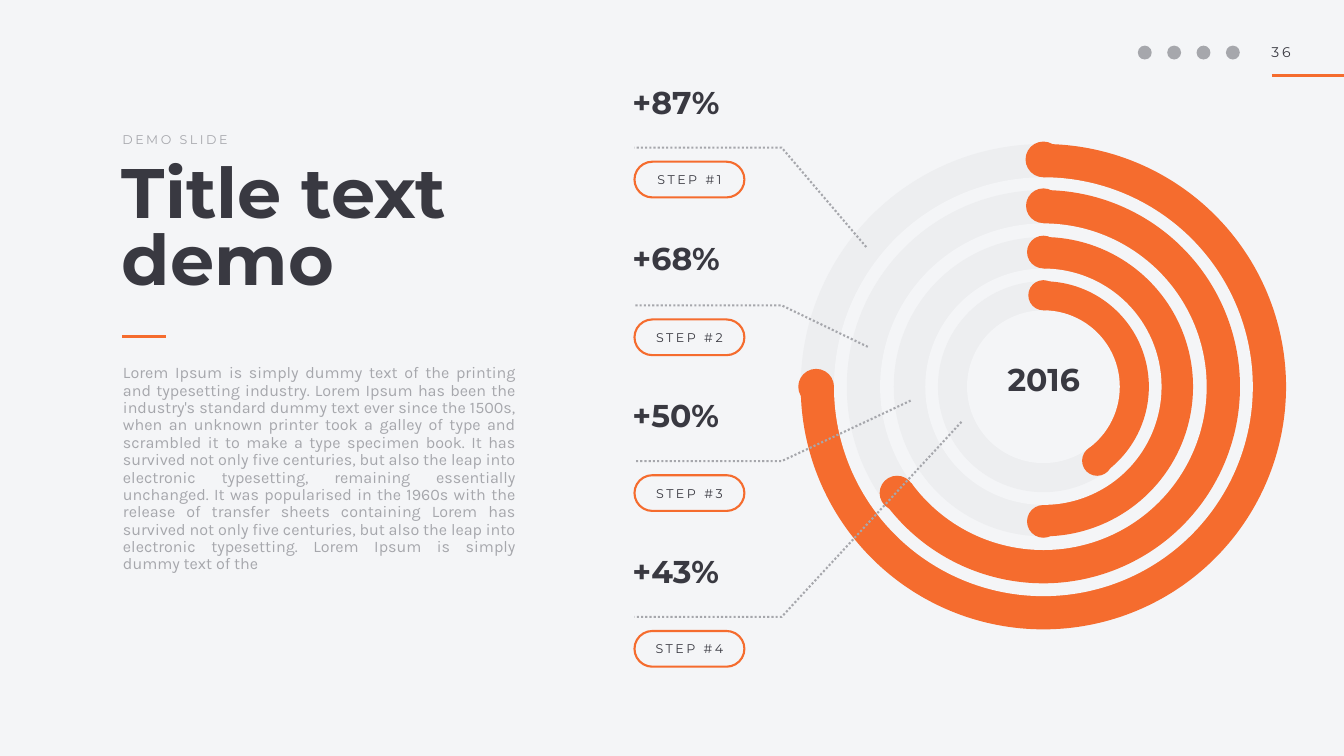
import math

from lxml import etree
from pptx import Presentation
from pptx.chart import data
from pptx.dml.color import RGBColor
from pptx.enum import chart as charts, dml, shapes, text
from pptx.oxml import ns, parse_xml
from pptx.util import Cm, Pt


class Theme:
    paper = RGBColor(0xF4, 0xF5, 0xF7)
    track = RGBColor(0xED, 0xEE, 0xF0)
    accent = RGBColor(0xF5, 0x6C, 0x2E)
    dark = RGBColor(0x39, 0x39, 0x41)
    grey = RGBColor(0xA6, 0xA7, 0xAC)
    heading, body = "Montserrat", "Karla"
    title_size, value_size, body_size, page_size, label_size, chart_size = 100, 45, 23, 20, 18, 10
    rule_width, line_width = Pt(4), Pt(3)


def add_shape(kind, x, y, w, h, fill=None):
    """Preset shape placed in centimetres, without line or shadow."""
    sp = s.shapes.add_shape(kind, Cm(x), Cm(y), Cm(w), Cm(h))
    sp.shadow.inherit = False
    sp.line.fill.background()
    if fill is None:
        sp.fill.background()
    else:
        sp.fill.solid()
        sp.fill.fore_color.rgb = fill
    return sp


def write(sp, words, size, color=Theme.dark, font=Theme.heading, bold=False,
          align=text.PP_ALIGN.LEFT, leading=1.0, tracking=0, anchor=text.MSO_ANCHOR.TOP):
    """Put one run of text in a shape; tracking is in points."""
    tf = sp.text_frame
    tf.word_wrap = True
    tf.vertical_anchor = anchor
    tf.margin_left = tf.margin_right = tf.margin_top = tf.margin_bottom = Cm(0.1)
    p = tf.paragraphs[0]
    p.alignment = align
    p.line_spacing = leading
    r = p.add_run()
    r.text = words
    r.font.name, r.font.size, r.font.bold = font, Pt(size), bold
    r.font.color.rgb = color
    if tracking:
        r.font._element.set("spc", str(round(tracking * 100)))


prs = Presentation()
prs.slide_width, prs.slide_height = Cm(67.74), Cm(38.1)
s = prs.slides.add_slide(prs.slide_layouts[6])
s.background.fill.solid()
s.background.fill.fore_color.rgb = Theme.paper

# Header: four plain dots for the social links, page number
for i in range(4):
    add_shape(shapes.MSO_SHAPE.OVAL, 57.35 + 1.48 * i, 2.3, 0.7, 0.7, Theme.grey)
page = s.shapes.add_textbox(Cm(63.98), Cm(2.11), Cm(1.68), Cm(1.07))
write(page, "36", Theme.page_size, tracking=4)

# Accent rules under the page number and the title
for x1, x2, y in [(64.11, 67.74, 3.81), (6.15, 8.38, 16.94)]:
    rule = s.shapes.add_connector(shapes.MSO_CONNECTOR.STRAIGHT, Cm(x1), Cm(y), Cm(x2), Cm(y))
    rule.line.color.rgb = Theme.accent
    rule.line.width = Theme.rule_width
    etree.SubElement(rule._element.spPr, ns.qn("a:effectLst"))

# Rings: share, outer diameter, hole diameter, cap diameter
center_x, center_y = 52.59, 19.49
rings = [
    (75, 24.71, 21.11, 1.8),
    (65, 20.02, 16.46, 1.75),
    (50, 15.24, 11.91, 1.65),
    (40, 10.74, 7.7, 1.52),
]
for share, outer, hole, cap in rings:
    cd = data.CategoryChartData()
    cd.categories = ["1", "2"]
    cd.add_series("Series 1", (share, 100 - share))
    chart = s.shapes.add_chart(
        charts.XL_CHART_TYPE.PIE, Cm(center_x - outer / 2), Cm(center_y - outer / 2),
        Cm(outer), Cm(outer), cd).chart
    chart.has_legend = chart.has_title = False
    chart.font.name, chart.font.size = Theme.heading, Pt(Theme.chart_size)
    chart.font.color.rgb = Theme.grey
    plot = chart.plots[0]
    plot.vary_by_categories = False
    for i, color in enumerate((Theme.accent, Theme.track)):
        fmt = plot.series[0].points[i].format
        fmt.fill.solid()
        fmt.fill.fore_color.rgb = color
        fmt.line.fill.background()
    area = chart._chartSpace.find(".//" + ns.qn("c:plotArea"))
    for old in area.findall(ns.qn("c:layout")):
        area.remove(old)
    area.insert(0, parse_xml(
        f'<c:layout {ns.nsdecls("c")}><c:manualLayout><c:layoutTarget val="inner"/>'
        '<c:xMode val="edge"/><c:yMode val="edge"/><c:x val="0.005"/><c:y val="0.005"/>'
        '<c:w val="0.99"/><c:h val="0.99"/></c:manualLayout></c:layout>'))
    add_shape(shapes.MSO_SHAPE.OVAL, center_x - hole / 2, center_y - hole / 2,
              hole, hole, Theme.paper)

# Round caps at the start and end of every arc
for share, outer, hole, cap in rings:
    radius = (outer + hole) / 4
    for angle in (0, math.tau * share / 100):
        x = center_x + radius * math.sin(angle)
        y = center_y - radius * math.cos(angle)
        add_shape(shapes.MSO_SHAPE.OVAL, x - cap / 2, y - cap / 2, cap, cap, Theme.accent)

year = s.shapes.add_textbox(Cm(48.72), Cm(18.42), Cm(7.77), Cm(3.2))
write(year, "2016", Theme.value_size, bold=True, align=text.PP_ALIGN.CENTER, leading=0.8)

# Steps: value, height of the leader line, point on the ring
steps = [
    ("+87%", 7.44, (43.66, 12.45)),
    ("+68%", 15.39, (43.74, 17.48)),
    ("+50%", 23.24, (45.9, 20.19)),
    ("+43%", 31.09, (48.46, 21.26)),
]
left, elbow = 31.98, 39.4
for i, (value, y, (tip_x, tip_y)) in enumerate(steps):
    path_builder = s.shapes.build_freeform(Cm(tip_x), Cm(tip_y))
    path_builder.add_line_segments([(Cm(elbow), Cm(y)), (Cm(left), Cm(y))], close=False)
    leader = path_builder.convert_to_shape()
    leader.shadow.inherit = False
    leader.fill.background()
    leader.line.color.rgb = Theme.grey
    leader.line.width = Theme.line_width
    leader.line.dash_style = dml.MSO_LINE.ROUND_DOT

    box = s.shapes.add_textbox(Cm(31.78), Cm(4.45 + 7.88 * i), Cm(8.79), Cm(3.15))
    write(box, value, Theme.value_size, bold=True, leading=0.8)

    pill = add_shape(shapes.MSO_SHAPE.ROUNDED_RECTANGLE, left, y + 0.71, 5.54, 1.8)
    pill.adjustments[0] = 0.5
    pill.line.color.rgb = Theme.accent
    pill.line.width = Theme.line_width
    write(pill, f"STEP #{i + 1}", Theme.label_size, align=text.PP_ALIGN.CENTER,
          tracking=3.6, anchor=text.MSO_ANCHOR.MIDDLE)

# Title column
kicker = s.shapes.add_textbox(Cm(6.07), Cm(6.55), Cm(10.77), Cm(0.99))
write(kicker, "DEMO SLIDE", Theme.label_size, Theme.grey, tracking=3.6,
      anchor=text.MSO_ANCHOR.MIDDLE)
title = s.shapes.add_textbox(Cm(6.05), Cm(8.18), Cm(19.84), Cm(7.62))
write(title, "Title text demo", Theme.title_size, bold=True, leading=0.8)
body = s.shapes.add_textbox(Cm(6.1), Cm(18.29), Cm(20.02), Cm(12.65))
write(body,
      "Lorem Ipsum is simply dummy text of the printing and typesetting industry. "
      "Lorem Ipsum has been the industry's standard dummy text ever since the 1500s, "
      "when an unknown printer took a galley of type and scrambled it to make a type "
      "specimen book. It has survived not only five centuries, but also the leap into "
      "electronic typesetting, remaining essentially unchanged. It was popularised in "
      "the 1960s with the release of transfer sheets containing Lorem has survived not "
      "only five centuries, but also the leap into electronic typesetting. Lorem Ipsum "
      "is simply dummy text of the",
      Theme.body_size, Theme.grey, Theme.body, align=text.PP_ALIGN.JUSTIFY, leading=0.9)

prs.save("out.pptx")
